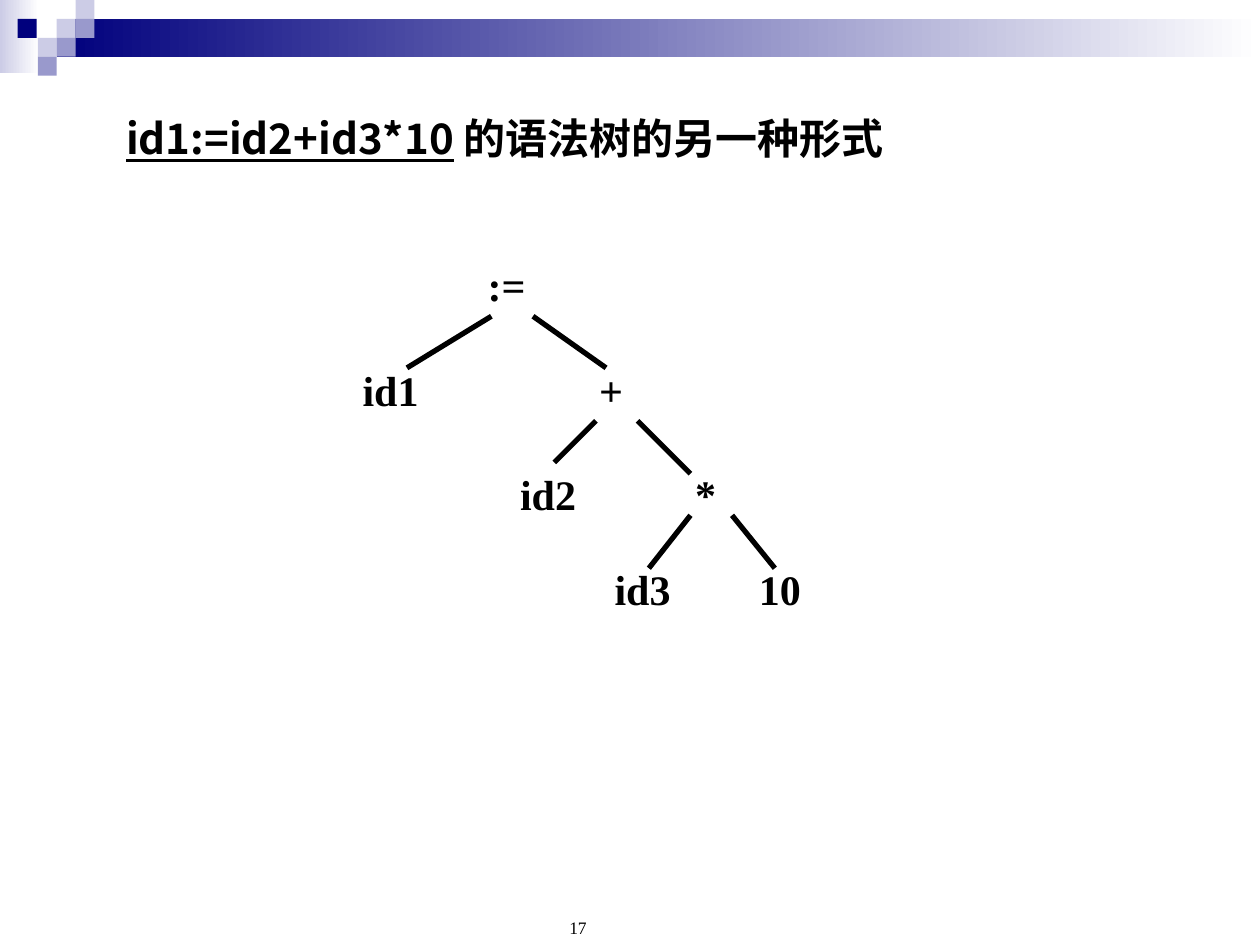
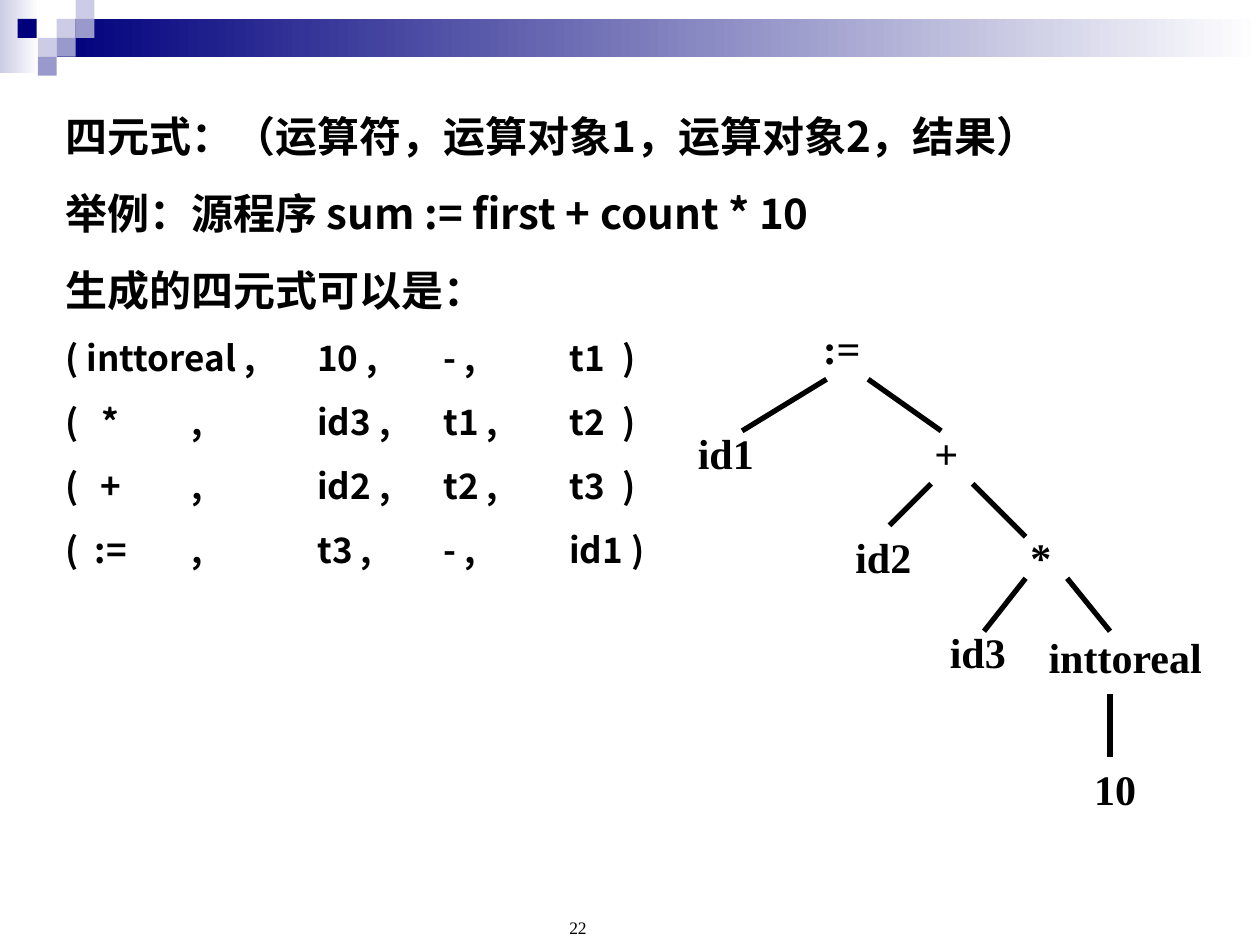
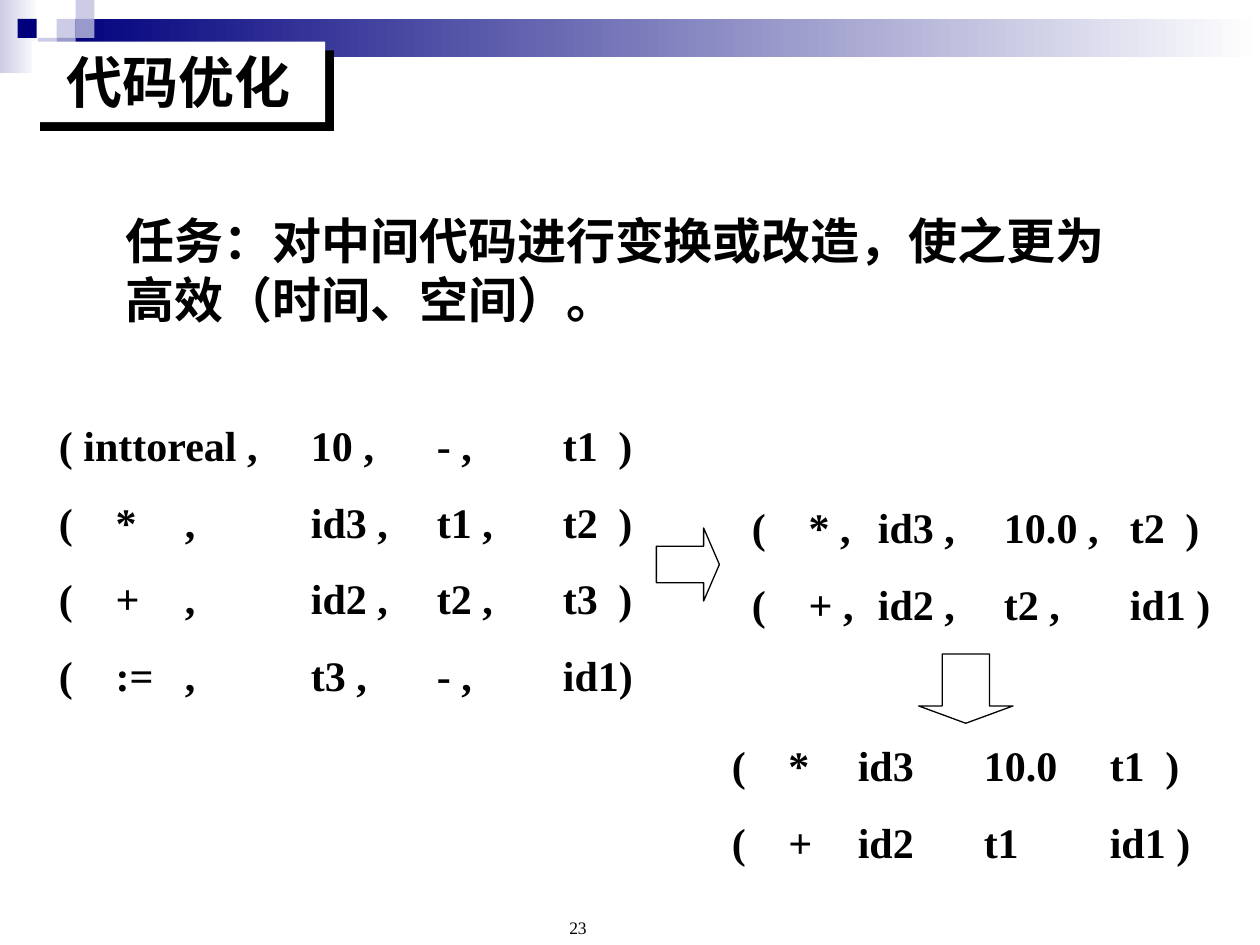
from lxml import etree
from pptx import Presentation
from pptx.dml.color import RGBColor
from pptx.enum.shapes import MSO_CONNECTOR, MSO_SHAPE
from pptx.enum.text import MSO_ANCHOR, MSO_AUTO_SIZE, PP_ALIGN
from pptx.oxml.ns import qn
from pptx.util import Inches, Pt

RECT, RIGHT, DOWN = MSO_SHAPE.RECTANGLE, MSO_SHAPE.RIGHT_ARROW, MSO_SHAPE.DOWN_ARROW
LEFT, CENTER = PP_ALIGN.LEFT, PP_ALIGN.CENTER
TOP, MIDDLE = MSO_ANCHOR.TOP, MSO_ANCHOR.MIDDLE
STRAIGHT = MSO_CONNECTOR.STRAIGHT

SANS, SERIF = "Noto Sans CJK SC", "Times New Roman"
BLACK, WHITE = "000000", "FFFFFF"
NAVY, MID, PALE = "00007D", "9999CC", "CCCCE6"
TITLE_ONLY, BLANK = 5, 6

# Shared header: fading bands, then small squares
BANDS = [((0, 0, 0.31, 0.58), PALE), ((0.45, 0.15, 9.55, 0.3), NAVY)]
SQUARE = 0.15
SQUARES = [(0.45, 0.15, PALE), (0.6, 0, PALE), (0.6, 0.15, MID), (0.3, 0.3, PALE),
           (0.14, 0.15, NAVY), (0.45, 0.3, MID), (0.3, 0.45, MID)]

# Syntax tree: node centres and edges, measured from the root's centre
TREE_NODES = [(":=", 0, 0), ("id1", -0.92, 0.83), ("+", 0.83, 0.83),
              ("id2", 0.33, 1.66), ("*", 1.58, 1.66), ("id3", 1.08, 2.41)]
TREE_EDGES = [(-0.12, 0.25, -0.79, 0.66), (0.21, 0.25, 0.79, 0.66),
              (0.71, 1.08, 0.38, 1.41), (1.04, 1.08, 1.46, 1.5),
              (1.46, 1.83, 1.13, 2.25), (1.79, 1.83, 2.13, 2.25)]
PLAIN_LEAF = [("10", 2.17, 2.41)]
CONVERTED_LEAF = [("inttoreal", 2.25, 2.45), ("10", 2.17, 3.5)]
CONVERTED_EDGE = [(2.13, 2.75, 2.13, 3.25)]

TREE_TITLE = [[("id1:=id2+id3*10", {"underline": True}), (" 的语法树的另一种形式", {})]]

QUAD_INTRO = ["四元式：（运算符，运算对象1，运算对象2，结果）",
              "举例：源程序 sum := first + count * 10",
              "生成的四元式可以是："]
QUADS = ["( inttoreal ,\t10 ,\t- ,\tt1\t)",
         "(\t*\t,\tid3 ,\tt1 ,\tt2\t)",
         "(\t+\t,\tid2 ,\tt2 ,\tt3\t)",
         "(\t:=\t,\tt3 ,\t- ,\tid1 )"]
QUAD_TABS = [(0.36, "ctr"), (1, "l"), (2, "l"), (3, "l"), (4, "l"), (4.42, "l")]

TASK = "任务：对中间代码进行变换或改造，使之更为高效（时间、空间）。"
OPTIMIZING = [  # box, last column's tab, rows
    ((0.37, 3.28, 5, 2.33), 4, QUADS[:3] + ["(\t:=\t,\tt3 ,\t- ,\tid1)"]),
    ((5.87, 3.93, 4.17, 1.11), 3, ["(\t* ,\tid3 ,\t10.0 ,\tt2\t)",
                                   "(\t+ ,\tid2 ,\tt2 ,\tid1 )"]),
    ((5.71, 5.82, 4.17, 1.11), 3, ["(\t*\tid3\t10.0\tt1\t)",
                                   "(\t+\tid2\tt1\tid1 )"]),
]
ARROWS = [(RIGHT, (5.21, 4.19, 0.5, 0.58)), (DOWN, (7.29, 5.19, 0.75, 0.55))]


def rgb(color):
    return RGBColor.from_string(color)


def inches(values):
    return [Inches(v) for v in values]


def write(tf, paras, size=24, font=SERIF, bold=True, align=LEFT, anchor=TOP,
          wrap=True, tabs=()):
    """Each paragraph is a string or a list of (text, overrides) runs."""
    tf.word_wrap, tf.vertical_anchor = wrap, anchor
    tf.auto_size = MSO_AUTO_SIZE.NONE
    for i, runs in enumerate(paras):
        p = tf.paragraphs[0] if i == 0 else tf.add_paragraph()
        if tabs:
            tab_list = etree.SubElement(p._p.get_or_add_pPr(), qn("a:tabLst"))
            for pos, kind in tabs:
                etree.SubElement(tab_list, qn("a:tab"), pos=str(Inches(pos)), algn=kind)
        p.alignment = align
        for text, opts in [(runs, {})] if isinstance(runs, str) else runs:
            r = p.add_run()
            r.text = text
            r.font.size = Pt(opts.get("size", size))
            r.font.bold = bold
            r.font.underline = opts.get("underline", False)
            r.font.color.rgb = rgb(BLACK)
            r.font.name = font
            etree.SubElement(r._r.get_or_add_rPr(), qn("a:ea"), typeface=SANS)
        if i:
            p.space_before = Pt(0.625 * r.font.size.pt)


def add_text(s, box, paras, **fmt):
    tb = s.shapes.add_textbox(*inches(box))
    write(tb.text_frame, paras, **fmt)


def add_rect(s, box, color, fade=False):
    sp = s.shapes.add_shape(RECT, *inches(box))
    sp.shadow.inherit = False
    sp.line.fill.background()
    if fade:
        sp.fill.gradient()
        sp.fill.gradient_angle = 0
        for stop, c in zip(sp.fill.gradient_stops, (color, WHITE)):
            stop.color.rgb = rgb(c)
    else:
        sp.fill.solid()
        sp.fill.fore_color.rgb = rgb(color)


def add_slide(prs, layout, number):
    s = prs.slides.add_slide(prs.slide_layouts[layout])
    for box, color in BANDS:
        add_rect(s, box, color, fade=True)
    for x, y, color in SQUARES:
        add_rect(s, (x, y, SQUARE, SQUARE), color)
    add_text(s, (4.42, 7.23, 0.83, 0.27), [str(number)], size=10, bold=False)
    return s


def set_title(s, box, paras, **fmt):
    title = s.shapes.title
    title.left, title.top, title.width, title.height = inches(box)
    write(title.text_frame, paras, **fmt)
    s.shapes._spTree.append(title._element)  # in front of the header
    return title


def add_tree(s, root_x, root_y, nodes, edges):
    w, h = 0.58, 0.5
    for text, x, y in nodes:
        add_text(s, (root_x + x - w / 2, root_y + y - h / 2, w, h), [text],
                 align=CENTER, anchor=MIDDLE, wrap=False)
    for x1, y1, x2, y2 in edges:
        ln = s.shapes.add_connector(STRAIGHT, *inches(
            (root_x + x1, root_y + y1, root_x + x2, root_y + y2)))
        ln.line.color.rgb = rgb(BLACK)
        ln.line.width = Pt(3)
        etree.SubElement(ln._element.spPr, qn("a:effectLst"))


def add_hard_shadow(sp):
    effects = etree.SubElement(sp._element.spPr, qn("a:effectLst"))
    shadow = etree.SubElement(effects, qn("a:outerShdw"), dist=str(Pt(7.1)),
                              dir=str(45 * 60000), algn="ctr", rotWithShape="0")
    etree.SubElement(shadow, qn("a:srgbClr"), val=BLACK)


def main():
    prs = Presentation()
    prs.slide_width, prs.slide_height = Inches(10), Inches(7.5)

    # Another form of the syntax tree
    s = add_slide(prs, TITLE_ONLY, 17)
    set_title(s, (0.9, 0.84, 6.5, 0.9), TREE_TITLE, font=SANS)
    add_tree(s, 4.02, 2.26, TREE_NODES + PLAIN_LEAF, TREE_EDGES)

    # Quadruples
    s = add_slide(prs, BLANK, 22)
    rows = [[(row, {"size": 20})] for row in QUADS]
    add_text(s, (0.42, 0.83, 8.29, 3.75), QUAD_INTRO + rows, font=SANS, tabs=QUAD_TABS)
    add_tree(s, 6.68, 2.76, TREE_NODES + CONVERTED_LEAF, TREE_EDGES + CONVERTED_EDGE)

    # Code optimization
    s = add_slide(prs, TITLE_ONLY, 23)
    title = set_title(s, (0.25, 0.33, 2.33, 0.64), ["代码优化"], size=32, align=CENTER)
    title.fill.solid()
    title.fill.fore_color.rgb = rgb(WHITE)
    add_hard_shadow(title)
    add_text(s, (0.9, 1.62, 8, 1.04), [TASK], size=28, font=SANS)
    for box, last, rows in OPTIMIZING:
        stops = [0.45, *range(1, last + 1), last + 0.44]
        add_text(s, box, rows, tabs=[(pos, "l") for pos in stops])
    for kind, box in ARROWS:
        sp = s.shapes.add_shape(kind, *inches(box))
        sp.shadow.inherit = False
        sp.adjustments[0], sp.adjustments[1] = 0.5, 0.25
        sp.fill.background()
        sp.line.color.rgb = rgb(BLACK)
        sp.line.width = Pt(0.75)

    prs.save("out.pptx")


if __name__ == "__main__":
    main()
